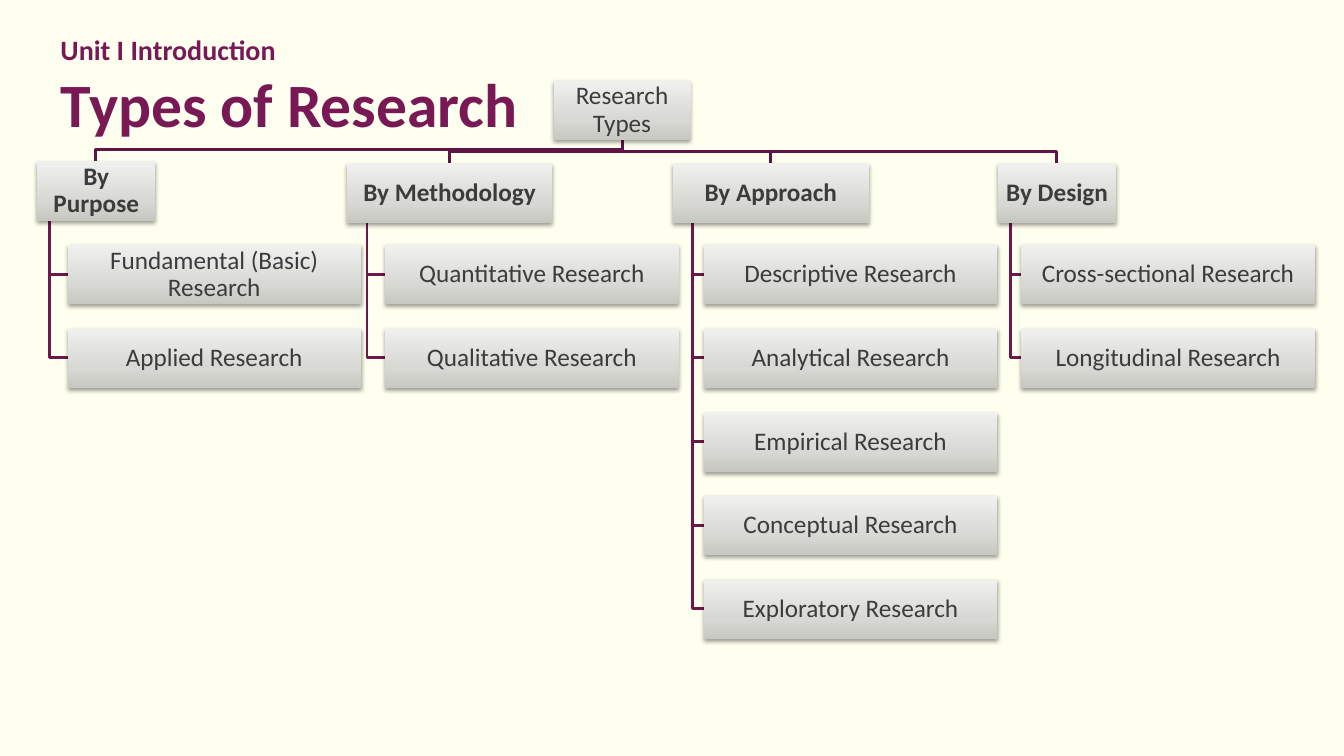
"""Builds the Types of Research slide: a title above a four-branch hierarchy."""
from lxml import etree
from pptx import Presentation
from pptx import util as u
from pptx.dml.color import RGBColor
from pptx.enum import shapes, text
from pptx.oxml import parse_xml
from pptx.oxml.ns import nsdecls, qn

PX = u.Inches(1) // 100
COLORS = {
    "background": "FFFFF0", "title": "781955", "text": "3C3C3C",
    "root_line": "601444", "leaf_line": "6D174D", "shadow": "000000",
    "box_bottom": "C8C8C2", "box_middle": "D8D8D4", "box_top": "F0F0EF",
}
BOX_STOPS = [(0, "box_bottom"), (35, "box_middle"), (100, "box_top")]
BOX_HEIGHT = 59
ROOT = ("Research Types", 549, 80, 136)
BRANCHES = [
    ("By Purpose", 37, 160, 117, ["Fundamental (Basic) Research", "Applied Research"]),
    ("By Methodology", 344, 162, 204, ["Quantitative Research", "Qualitative Research"]),
    ("By Approach", 667, 162, 195, [
        "Descriptive Research", "Analytical Research", "Empirical Research",
        "Conceptual Research", "Exploratory Research"]),
    ("By Design", 990, 162, 117, ["Cross-sectional Research", "Longitudinal Research"]),
]
LEAF_LEFT, LEAF_TOP, LEAF_WIDTH = 67, 243, 291
LEAF_STEP_X, LEAF_STEP_Y = 315.4, 83


def color(name):
    return RGBColor.from_string(COLORS[name])


def set_margins(frame, margin):
    frame.margin_left = frame.margin_right = margin * PX
    frame.margin_top = frame.margin_bottom = margin * PX


def format_run(run, size, color_name, bold):
    run.font.name = "Calibri"
    run.font.size = u.Pt(size)
    run.font.bold = bold
    run.font.color.rgb = color(color_name)


def add_title(slide):
    title = slide.shapes.title
    title.left, title.top, title.width, title.height = (
        value * PX for value in (60, 32, 1155, 94))
    frame = title.text_frame
    frame.text = "Unit I Introduction\vTypes of Research"
    frame.auto_size = text.MSO_AUTO_SIZE.NONE
    frame.vertical_anchor = text.MSO_ANCHOR.TOP
    set_margins(frame, 0)
    paragraph = frame.paragraphs[0]
    paragraph.alignment = text.PP_ALIGN.LEFT
    for run, size in zip(paragraph.runs, (20, 44)):
        format_run(run, size, "title", True)
    line_break = paragraph._p.find(qn("a:br"))
    etree.SubElement(line_break, qn("a:rPr"), sz="2000")


def add_elbow(slide, points, color_name):
    builder = slide.shapes.build_freeform(*points[0], scale=PX)
    builder.add_line_segments(points[1:], close=False)
    line = builder.convert_to_shape()
    line.shadow.inherit = False
    line.fill.background()
    line.line.color.rgb = color(color_name)
    line.line.width = u.Pt(2)


def style_box(box):
    box.line.fill.background()
    stops = "".join(
        f'<a:gs pos="{position * 1000}"><a:srgbClr val="{COLORS[name]}"/></a:gs>'
        for position, name in BOX_STOPS)
    gradient = parse_xml(
        f'<a:gradFill {nsdecls("a")} rotWithShape="1"><a:gsLst>{stops}</a:gsLst>'
        '<a:lin ang="16200000" scaled="0"/></a:gradFill>')
    shadow = parse_xml(
        f'<a:effectLst {nsdecls("a")}><a:outerShdw blurRad="40000" dist="20000" '
        f'dir="5400000" rotWithShape="0"><a:srgbClr val="{COLORS["shadow"]}">'
        '<a:alpha val="38000"/></a:srgbClr></a:outerShdw></a:effectLst>')
    properties = box._element.spPr
    properties.find(qn("a:prstGeom")).addnext(gradient)
    properties.append(shadow)


def add_box(slide, label, left, top, width, bold=False):
    box = slide.shapes.add_shape(
        shapes.MSO_SHAPE.RECTANGLE, left * PX, top * PX, width * PX, BOX_HEIGHT * PX)
    style_box(box)
    frame = box.text_frame
    frame.text = label
    frame.word_wrap = True
    frame.vertical_anchor = text.MSO_ANCHOR.MIDDLE
    set_margins(frame, 1)
    paragraph = frame.paragraphs[0]
    paragraph.alignment = text.PP_ALIGN.CENTER
    paragraph.line_spacing = 0.9
    format_run(paragraph.runs[0], 18, "text", bold)


def leaf_position(column, row):
    return LEAF_LEFT + round(column * LEAF_STEP_X), LEAF_TOP + row * LEAF_STEP_Y


def add_branch_lines(slide, column, branch):
    _, left, top, width, leaves = branch
    _, root_left, root_top, root_width = ROOT
    root_x, head_x = root_left + root_width // 2, left + width // 2
    add_elbow(slide, [(root_x, root_top + BOX_HEIGHT), (root_x, top - 12),
                      (head_x, top - 12), (head_x, top)], "root_line")
    trunk_x = left + round(width / 10)
    for row in range(len(leaves)):
        leaf_left, leaf_top = leaf_position(column, row)
        middle = leaf_top + BOX_HEIGHT // 2
        add_elbow(slide, [(trunk_x, top + BOX_HEIGHT), (trunk_x, middle),
                          (leaf_left, middle)], "leaf_line")


def add_branch_boxes(slide, column, branch):
    label, left, top, width, leaves = branch
    add_box(slide, label, left, top, width, bold=True)
    for row, leaf in enumerate(leaves):
        add_box(slide, leaf, *leaf_position(column, row), LEAF_WIDTH)


def main():
    presentation = Presentation()
    presentation.slide_width, presentation.slide_height = 1333 * PX, 750 * PX
    slide = presentation.slides.add_slide(presentation.slide_layouts[5])
    slide.background.fill.solid()
    slide.background.fill.fore_color.rgb = color("background")
    add_title(slide)
    for column, branch in enumerate(BRANCHES):
        add_branch_lines(slide, column, branch)
    add_box(slide, *ROOT)
    for column, branch in enumerate(BRANCHES):
        add_branch_boxes(slide, column, branch)
    presentation.save("out.pptx")


if __name__ == "__main__":
    main()
